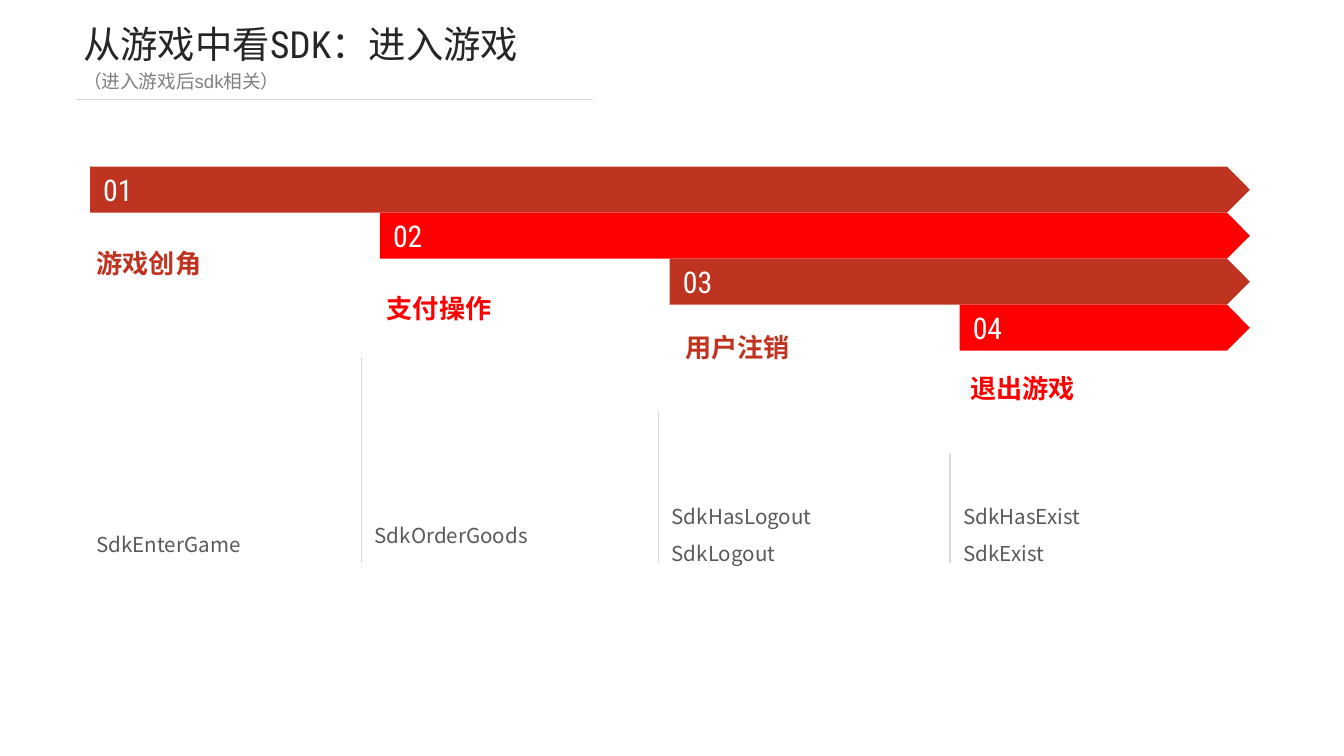
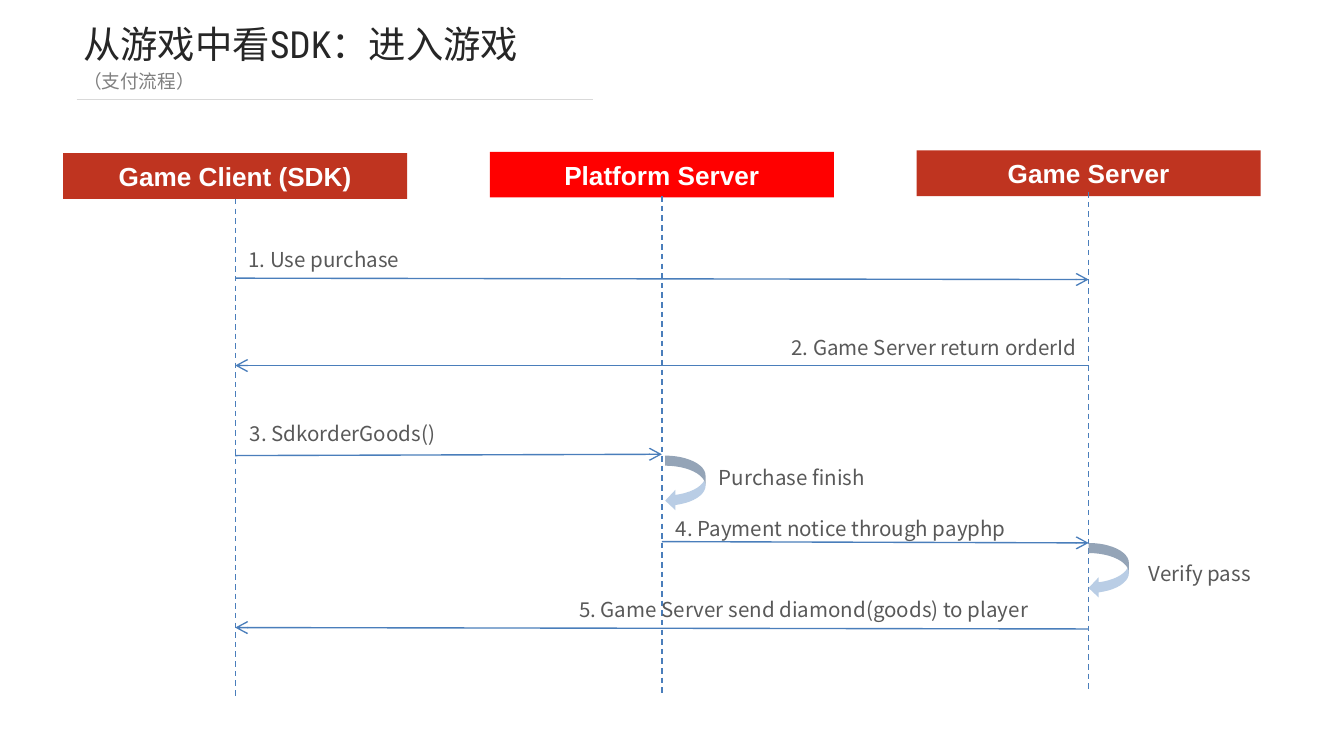
from dataclasses import dataclass

from lxml.etree import SubElement
from pptx import Presentation
from pptx.dml.color import RGBColor
from pptx.enum.dml import MSO_LINE
from pptx.enum.shapes import MSO_CONNECTOR, MSO_SHAPE
from pptx.enum.text import MSO_ANCHOR, MSO_AUTO_SIZE, PP_ALIGN
from pptx.oxml.ns import qn
from pptx.shapes.base import BaseShape
from pptx.slide import Slide
from pptx.text.text import TextFrame
from pptx.util import Inches, Pt

COLORS = {
    "title": "262626", "subtitle": "808080", "body": "595959", "rule": "D9D9D9",
    "brick": "BF3420", "red": "FF0000", "white": "FFFFFF",
    "flow": "4A7EBB", "loop": "B9CDE5",
}
CJK = "Noto Sans CJK SC"
SLIDE_WIDTH = 10
SLIDE_HEIGHT = SLIDE_WIDTH * 9 / 16


@dataclass(frozen=True)
class TextStyle:
    size: int
    font: str
    color: str
    bold: bool = False
    spacing: float = 1.0
    align: PP_ALIGN = PP_ALIGN.LEFT


TITLE = TextStyle(20, "Roboto Condensed", "title")
SUBTITLE = TextStyle(10, "Arial", "subtitle")
NUMBER = TextStyle(16, "Roboto Condensed", "white")
BODY = TextStyle(11, CJK, "body", spacing=1.5)
ACTOR = TextStyle(14, "Arial", "white", bold=True, align=PP_ALIGN.CENTER)


@dataclass(frozen=True)
class Stage:
    name: str
    name_left: float
    name_top: float
    calls: str
    calls_left: float
    calls_top: float
    color: str


@dataclass(frozen=True)
class Divider:
    x: float
    top: float


@dataclass(frozen=True)
class Actor:
    name: str
    color: str
    lifeline_top: float


@dataclass(frozen=True)
class Message:
    text: str
    sender: int
    receiver: int
    start_y: float
    end_y: float
    left: float
    top: float
    width: float


@dataclass(frozen=True)
class SelfStep:
    text: str
    arrow_left: float
    arrow_top: float
    text_left: float
    text_top: float


STAGES = [
    Stage("游戏创角", 0.62, 1.79, "SdkEnterGame", 0.62, 3.82, "brick"),
    Stage("支付操作", 2.78, 2.13, "SdkOrderGoods", 2.69, 3.75, "red"),
    Stage("用户注销", 5, 2.42, "SdkHasLogout\nSdkLogout", 4.9, 3.61, "brick"),
    Stage("退出游戏", 7.12, 2.72, "SdkHasExist\nSdkExist", 7.07, 3.61, "red"),
]
DIVIDERS = [Divider(2.69, 2.66), Divider(4.9, 3.06), Divider(7.07, 3.38)]
ACTORS = [
    Actor("Game Client (SDK)", "brick", 1.48),
    Actor("Platform Server", "red", 1.46),
    Actor("Game Server", "brick", 1.43),
]
CLIENT, PLATFORM, SERVER = range(3)
MESSAGES = [
    Message("1. Use purchase", CLIENT, SERVER, 2.07, 2.08, 1.75, 1.7, 3.3),
    Message("2. Game Server return orderId", SERVER, CLIENT, 2.72, 2.72, 5.79, 2.35, 3.3),
    Message("3. SdkorderGoods()", CLIENT, PLATFORM, 3.39, 3.38, 1.76, 2.99, 3.16),
    Message("4. Payment notice through payphp", PLATFORM, SERVER, 4.03, 4.04, 4.93, 3.7, 2.92),
    Message("5. Game Server send diamond(goods) to player", SERVER, CLIENT,
            4.68, 4.67, 4.21, 4.3, 4.28),
]
SELF_STEPS = [
    SelfStep("Purchase finish", 4.95, 3.39, 5.25, 3.32),
    SelfStep("Verify pass", 8.1, 4.04, 8.45, 4.03),
]


def rgb(color: str) -> RGBColor:
    return RGBColor.from_string(COLORS[color])


def set_text(frame: TextFrame, text: str, style: TextStyle) -> None:
    frame.word_wrap = True
    frame.text = text
    for paragraph in frame.paragraphs:
        paragraph.alignment = style.align
        paragraph.line_spacing = style.spacing
        for run in paragraph.runs:
            run.font.size = Pt(style.size)
            run.font.bold = style.bold
            run.font.name = style.font
            run.font.color.rgb = rgb(style.color)
            SubElement(run.font._element, qn("a:ea"), typeface=CJK)


def add_text(slide: Slide, left: float, top: float, width: float, height: float,
             text: str, style: TextStyle) -> None:
    box = slide.shapes.add_textbox(*map(Inches, (left, top, width, height)))
    set_text(box.text_frame, text, style)
    box.text_frame.auto_size = MSO_AUTO_SIZE.SHAPE_TO_FIT_TEXT


def paint(shape: BaseShape, color: str) -> None:
    shape.shadow.inherit = False
    shape.fill.solid()
    shape.fill.fore_color.rgb = rgb(color)
    shape.line.fill.background()


def add_line(slide: Slide, x1: float, y1: float, x2: float, y2: float, color: str,
             dashed: bool = False, arrow: bool = False) -> None:
    link = slide.shapes.add_connector(MSO_CONNECTOR.STRAIGHT, *map(Inches, (x1, y1, x2, y2)))
    link.line.color.rgb = rgb(color)
    link.line.width = Pt(0.75)
    if dashed:
        link.line.dash_style = MSO_LINE.DASH
    properties = link._element.spPr
    if arrow:
        SubElement(properties.find(qn("a:ln")), qn("a:tailEnd"), type="arrow")
    SubElement(properties, qn("a:effectLst"))


def add_titled_slide(deck: Presentation, subtitle: str) -> Slide:
    slide = deck.slides.add_slide(deck.slide_layouts[6])
    add_text(slide, 0.52, 0.11, 4.23, 0.44, "从游戏中看SDK：进入游戏", TITLE)
    add_text(slide, 0.52, 0.47, 4.23, 0.27, subtitle, SUBTITLE)
    add_line(slide, 0.57, 0.74, 4.41, 0.74, "rule")
    return slide


def add_stage_bar(slide: Slide, index: int, color: str) -> None:
    shoulder, tip = 9.13, 9.3
    height = (2.61 - 1.24) / 4
    left, top = 0.67 + (7.14 - 0.67) / 3 * index, 1.24 + height * index
    bottom = top + height
    corners = [(shoulder, top), (tip, top + height / 2), (shoulder, bottom), (left, bottom)]
    builder = slide.shapes.build_freeform(Inches(left), Inches(top))
    builder.add_line_segments([(Inches(x), Inches(y)) for x, y in corners], close=True)
    bar = builder.convert_to_shape()
    paint(bar, color)
    set_text(bar.text_frame, f"{index + 1:02}", NUMBER)
    bar.text_frame.vertical_anchor = MSO_ANCHOR.MIDDLE


def build_stages(deck: Presentation) -> None:
    slide = add_titled_slide(deck, "（进入游戏后sdk相关）")
    for index, stage in enumerate(STAGES):
        add_stage_bar(slide, index, stage.color)
        add_text(slide, stage.name_left, stage.name_top, 2.07, 0.34, stage.name,
                 TextStyle(14, "Arial", stage.color, bold=True))
        height = 0.38 + 0.27 * stage.calls.count("\n")
        add_text(slide, stage.calls_left, stage.calls_top, 2.07, height, stage.calls, BODY)
    for divider in DIVIDERS:
        add_line(slide, divider.x, divider.top, divider.x, 4.19, "rule")


def build_payment_flow(deck: Presentation) -> None:
    slide = add_titled_slide(deck, "（支付流程）")
    centers = [1.75 + (8.1 - 1.75) / 2 * index for index in range(len(ACTORS))]

    # Actors and their lifelines
    for index, (actor, center) in enumerate(zip(ACTORS, centers)):
        header = slide.shapes.add_shape(
            MSO_SHAPE.RECTANGLE,
            *map(Inches, (center - 1.28, 1.14 - 0.01 * index, 2.56, 0.34)))
        paint(header, actor.color)
        set_text(header.text_frame, actor.name, ACTOR)
        header.text_frame.vertical_anchor = MSO_ANCHOR.MIDDLE
        add_line(slide, center, actor.lifeline_top, center, actor.lifeline_top + 3.7,
                 "flow", dashed=True)

    # Messages between actors
    for message in MESSAGES:
        add_line(slide, centers[message.sender], message.start_y,
                 centers[message.receiver], message.end_y, "flow", arrow=True)
        add_text(slide, message.left, message.top, message.width, 0.38, message.text, BODY)

    # Steps an actor performs on its own
    for step in SELF_STEPS:
        loop = slide.shapes.add_shape(
            MSO_SHAPE.CURVED_LEFT_ARROW,
            *map(Inches, (step.arrow_left, step.arrow_top, 0.3, 0.41)))
        paint(loop, "loop")
        add_text(slide, step.text_left, step.text_top, 1.72, 0.38, step.text, BODY)


def main() -> None:
    deck = Presentation()
    deck.slide_width, deck.slide_height = Inches(SLIDE_WIDTH), Inches(SLIDE_HEIGHT)
    build_stages(deck)
    build_payment_flow(deck)
    deck.save("out.pptx")


if __name__ == "__main__":
    main()
